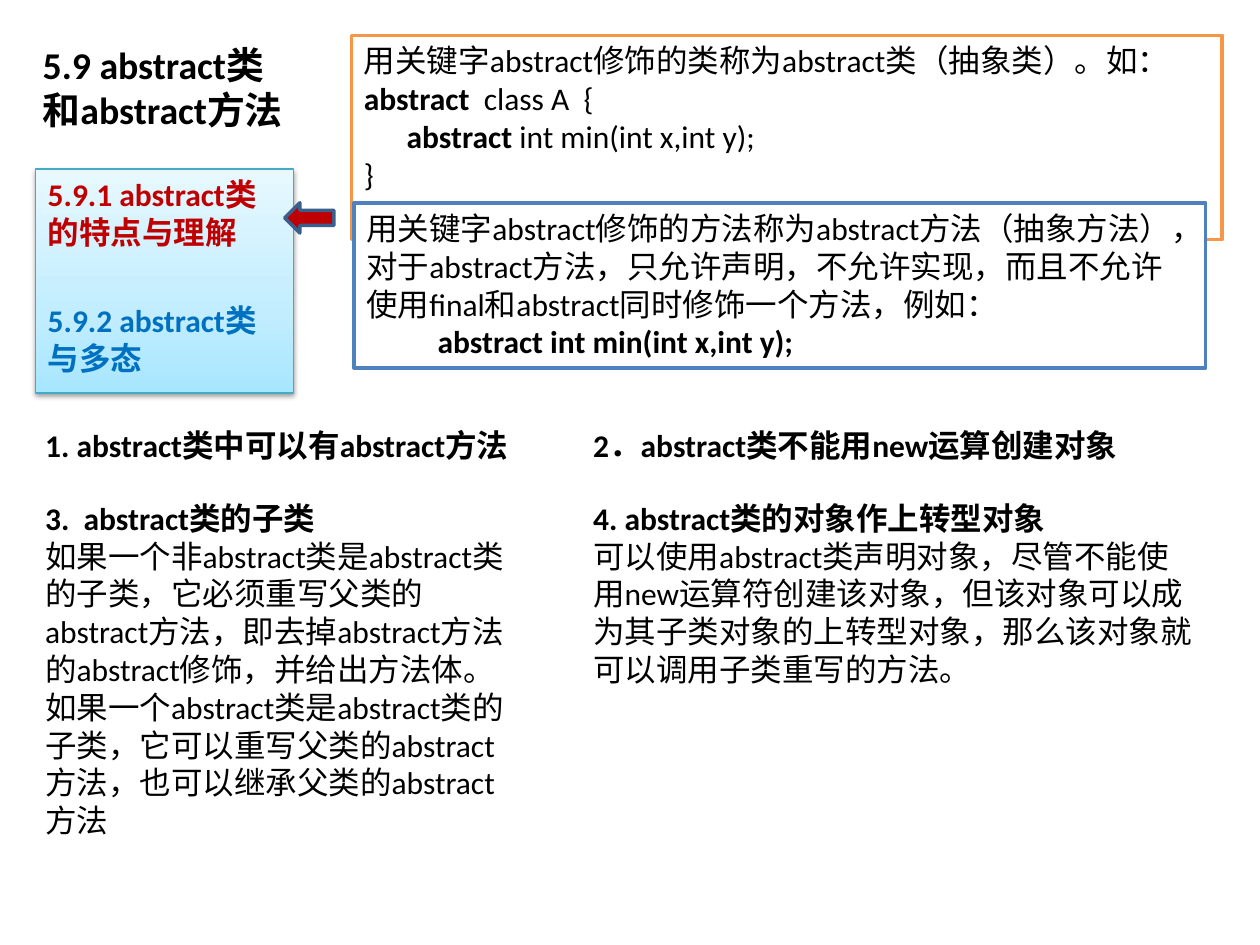
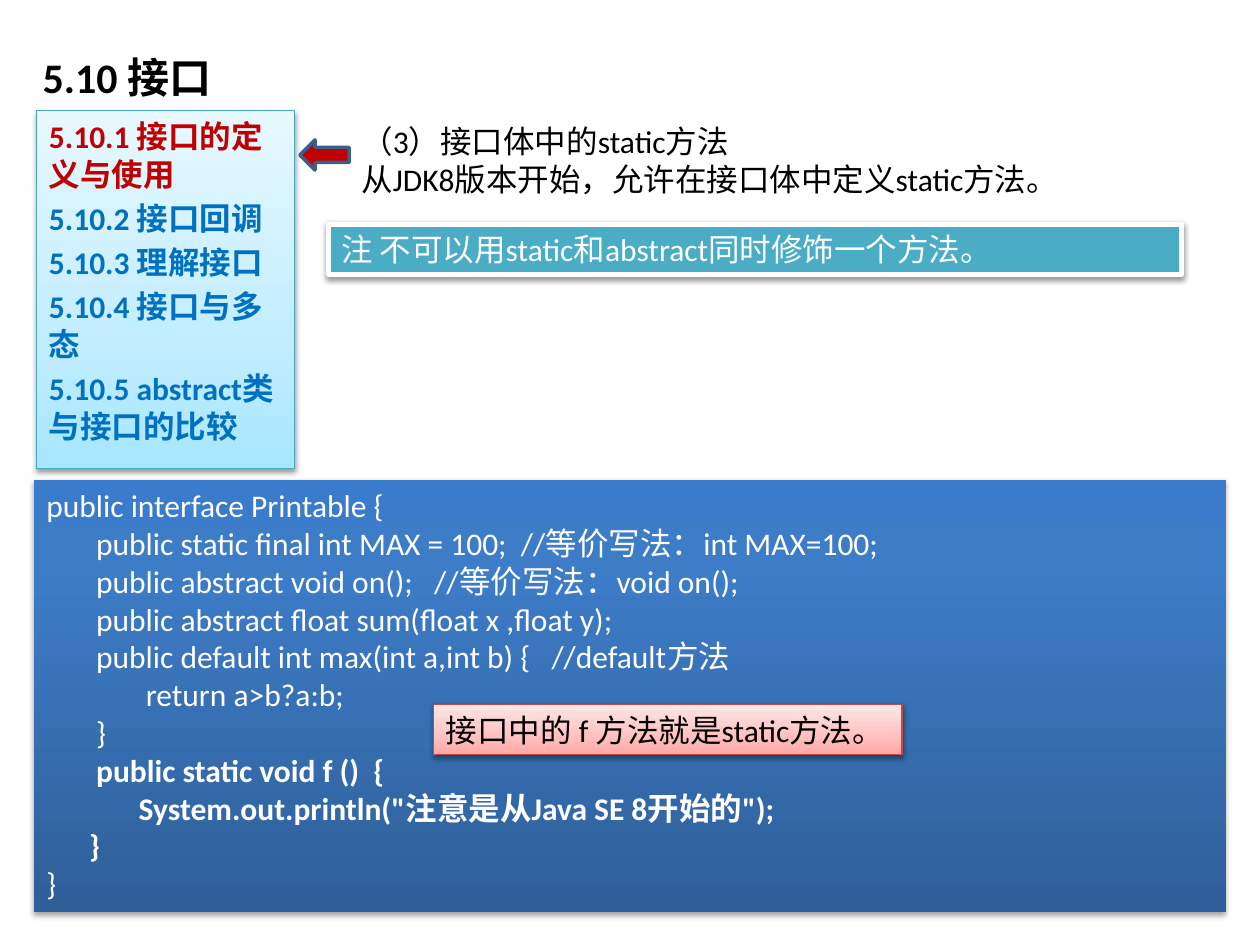
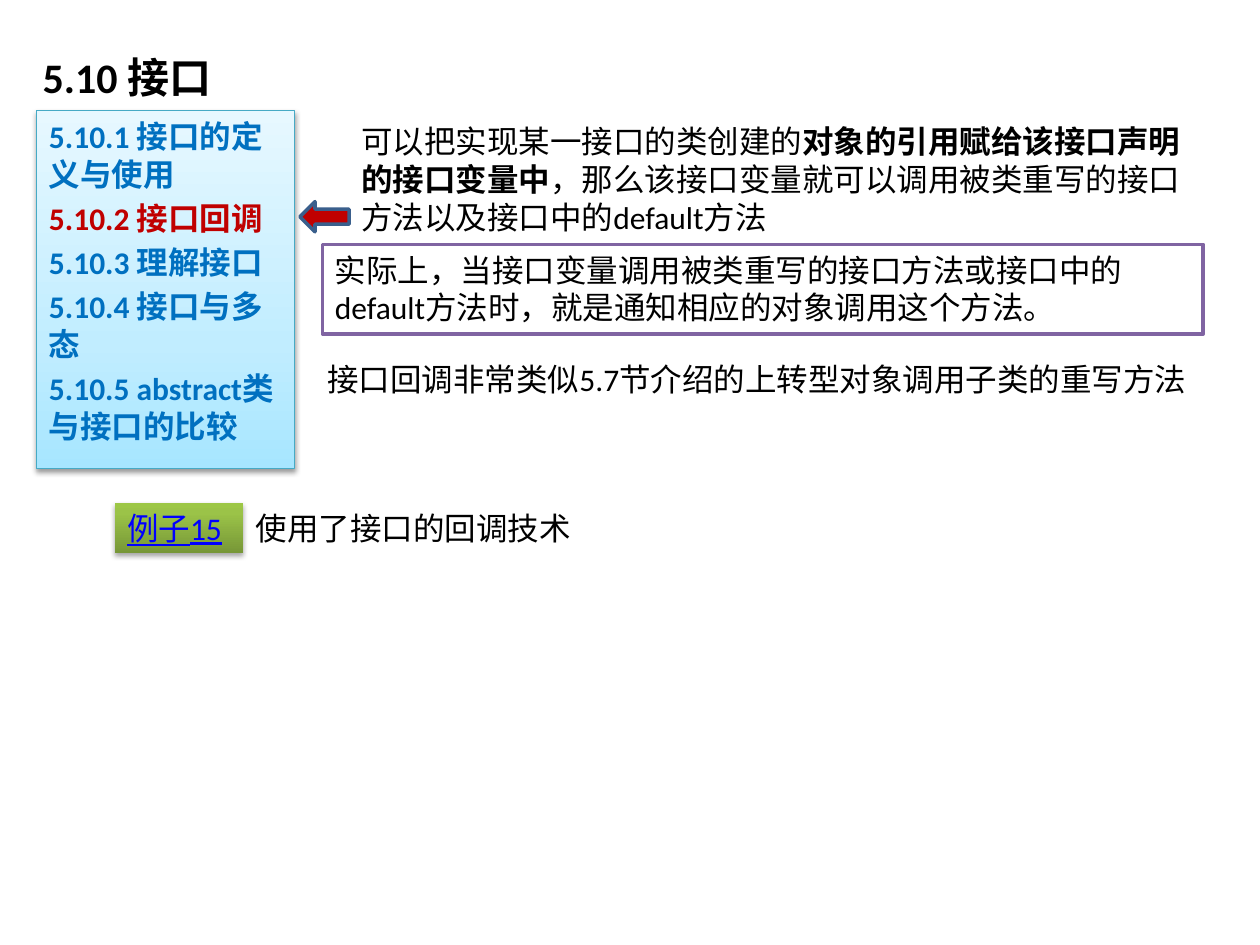
from lxml import etree
from pptx import Presentation
from pptx.dml.color import RGBColor
from pptx.enum.shapes import MSO_SHAPE as Preset
from pptx.enum.text import MSO_ANCHOR as Anchor, MSO_AUTO_SIZE as AutoSize, PP_ALIGN as Align
from pptx.oxml.ns import qn
from pptx.util import Inches, Pt

FONT = "Calibri"
BODY_SIZE = 18
BLACK = RGBColor(0x00, 0x00, 0x00)
WHITE = RGBColor(0xFF, 0xFF, 0xFF)
RED = RGBColor(0xC0, 0x00, 0x00)
BLUE = RGBColor(0x00, 0x70, 0xC0)
LINK_BLUE = RGBColor(0x00, 0x00, 0xFF)
ORANGE = RGBColor(0xF7, 0x96, 0x46)
FRAME_BLUE = RGBColor(0x4F, 0x81, 0xBD)
PURPLE = RGBColor(0x80, 0x64, 0xA2)
TEAL = RGBColor(0x4B, 0xAC, 0xC6)
TEAL_EDGE = RGBColor(0x46, 0xAA, 0xC5)
PINK_EDGE = RGBColor(0xBF, 0x4C, 0x48)
ARROW_EDGE = RGBColor(0x3A, 0x5F, 0x8C)

# Gradient stops run from the bottom edge to the top: (percent, colour)
SKY = [(0, "A7E6FF"), (35, "C1EDFF"), (100, "E7F8FF")]
PINK = [(0, "FFA6A5"), (35, "FFC0BF"), (100, "FFE7E7")]
DEEP_BLUE = [(0, "2F5F99"), (80, "3D7CC7"), (100, "3A7CCB")]
GREEN = [(0, "779737"), (80, "9BC348"), (100, "9DC746")]

# Shadows: (opacity percent, distance in points)
SOFT_SHADOW = (38, 1.6)
DEEP_SHADOW = (35, 1.8)

# Text between ** marks is bold; a newline is a line break.
ABSTRACT_TITLE = "5.9 abstract类\n和abstract方法"
ABSTRACT_SECTIONS = ["5.9.1 abstract类的特点与理解", "5.9.2 abstract类与多态"]
ABSTRACT_CLASS = [
    "用关键字abstract修饰的类称为abstract类（抽象类）。如：",
    "**abstract ** class A  {",
    "      **abstract **int min(int x,int y);",
    "}",
    "}",
]
ABSTRACT_METHOD = [
    "用关键字abstract修饰的方法称为abstract方法（抽象方法），对于abstract方法，"
    "只允许声明，不允许实现，而且不允许使用final和abstract同时修饰一个方法，例如：",
    "          **abstract int min(int x,int y);**",
]
ABSTRACT_COLUMNS = [
    (0.26, 3.92, 4, "**1. abstract类中可以有abstract方法**", [
        "**3.  abstract类的子类**",
        "如果一个非abstract类是abstract类的子类，它必须重写父类的abstract方法，"
        "即去掉abstract方法的abstract修饰，并给出方法体。如果一个abstract类是"
        "abstract类的子类，它可以重写父类的abstract方法，也可以继承父类的abstract方法",
    ]),
    (4.61, 4.42, 5, "**2．abstract类不能用new运算创建对象**", [
        "**4. abstract类的对象作上转型对象**",
        "可以使用abstract类声明对象，尽管不能使用new运算符创建该对象，"
        "但该对象可以成为其子类对象的上转型对象，那么该对象就可以调用子类重写的方法。",
    ]),
]

INTERFACE_TITLE = "5.10 接口"
INTERFACE_SECTIONS = [
    "5.10.1 接口的定义与使用",
    "5.10.2 接口回调",
    "5.10.3 理解接口",
    "5.10.4 接口与多态",
    "5.10.5 abstract类与接口的比较",
]
STATIC_INTRO = ["（3）接口体中的static方法", "从JDK8版本开始，允许在接口体中定义static方法。"]
STATIC_NOTE = ["注 不可以用static和abstract同时修饰一个方法。"]
STATIC_CALLOUT = ["接口中的 f 方法就是static方法。"]
PRINTABLE_CODE = [
    "public interface Printable {",
    "       public static final int MAX = 100;  //等价写法：int MAX=100;",
    "       public abstract void on();   //等价写法：void on();",
    "       public abstract float sum(float x ,float y);",
    "       public default int max(int a,int b) {   //default方法",
    "              return a>b?a:b;",
    "       }",
    "       **public static void f ()  {**",
    "**             System.out.println(\"注意是从Java SE 8开始的\");**",
    "**      }**",
    "}",
]
CALLBACK_INTRO = [
    "可以把实现某一接口的类创建的**对象的引用赋给该接口声明的接口变量中**，"
    "那么该接口变量就可以调用被类重写的接口方法以及接口中的default方法",
]
CALLBACK_MEANING = [
    "实际上，当接口变量调用被类重写的接口方法或接口中的default方法时，"
    "就是通知相应的对象调用这个方法。",
]
CALLBACK_COMPARISON = ["接口回调非常类似5.7节介绍的上转型对象调用子类的重写方法"]
EXAMPLE_LABEL = ["例子15"]
EXAMPLE_TEXT = ["使用了接口的回调技术"]


def add_runs(paragraph, text):
    for part, words in enumerate(text.split("**")):
        for line_number, line in enumerate(words.split("\n")):
            if line_number:
                paragraph.add_line_break()
            if line:
                run = paragraph.add_run()
                run.text = line
                run.font.bold = part % 2 == 1


def write(shape, paragraphs, color=BLACK, size=BODY_SIZE, wrap=True, grow=True):
    frame = shape.text_frame
    frame.word_wrap = wrap
    frame.auto_size = AutoSize.SHAPE_TO_FIT_TEXT if grow else AutoSize.NONE
    frame.vertical_anchor = Anchor.TOP
    for index, text in enumerate(paragraphs):
        paragraph = frame.paragraphs[0] if index == 0 else frame.add_paragraph()
        paragraph.alignment = Align.LEFT
        font = paragraph.font
        font.name, font.size, font.color.rgb = FONT, Pt(size), color
        add_runs(paragraph, text)
    return frame


def add_text(slide, box, paragraphs, **style):
    shape = slide.shapes.add_textbox(*map(Inches, box))
    return write(shape, paragraphs, **style)


def set_gradient(shape, stops):
    shape.fill.gradient()
    shape.fill.gradient_angle = 90
    stop_list = shape._element.spPr.find(".//" + qn("a:gsLst"))
    for stop in list(stop_list):
        stop_list.remove(stop)
    for percent, color in stops:
        stop = etree.SubElement(stop_list, qn("a:gs"), pos=str(percent * 1000))
        etree.SubElement(stop, qn("a:srgbClr"), val=color)


def set_shadow(shape, opacity, distance):
    effects = shape._element.spPr.find(qn("a:effectLst"))
    shadow = etree.SubElement(effects, qn("a:outerShdw"), blurRad=str(Pt(3.1)),
                              dist=str(Pt(distance)), dir="5400000", rotWithShape="0")
    color = etree.SubElement(shadow, qn("a:srgbClr"), val="000000")
    etree.SubElement(color, qn("a:alpha"), val=str(opacity * 1000))


def add_panel(slide, box, fill=WHITE, edge=None, edge_width=2, shadow=None, preset=Preset.RECTANGLE):
    shape = slide.shapes.add_shape(preset, *map(Inches, box))
    if isinstance(fill, list):
        set_gradient(shape, fill)
    else:
        shape.fill.solid()
        shape.fill.fore_color.rgb = fill
    if edge is None:
        shape.line.fill.background()
    else:
        shape.line.color.rgb = edge
        shape.line.width = Pt(edge_width)
    shape.shadow.inherit = False
    if shadow:
        set_shadow(shape, *shadow)
    return shape


def add_section_slide(presentation, title, title_top, title_size, sections, current,
                      menu_box, menu_gap, arrow_at):
    """Add a slide with its title, section menu and the arrow at the current section."""
    slide = presentation.slides.add_slide(presentation.slide_layouts[6])
    title_frame = add_text(slide, (0.24, title_top, 4.49, 0.66), [f"**{title}**"],
                           size=title_size, grow=False)
    title_frame.vertical_anchor = Anchor.BOTTOM

    menu = add_panel(slide, menu_box, SKY, TEAL_EDGE, 0.75, SOFT_SHADOW)
    frame = write(menu, [f"**{section}**" for section in sections], BLUE, grow=False)
    frame.paragraphs[current].font.color.rgb = RED
    for paragraph in frame.paragraphs[1:]:
        paragraph.space_before = Pt(menu_gap)

    add_panel(slide, (*arrow_at, 0.39, 0.24), RED, ARROW_EDGE, preset=Preset.LEFT_ARROW)
    return slide


def add_interface_slide(presentation, current, arrow_top):
    return add_section_slide(presentation, INTERFACE_TITLE, 0.2, 24, INTERFACE_SECTIONS, current,
                             (0.29, 0.88, 2.05, 2.84), 3.6, (2.38, arrow_top))


def build_abstract_slide(presentation):
    slide = add_section_slide(presentation, ABSTRACT_TITLE, 0.44, 21.6, ABSTRACT_SECTIONS, 0,
                              (0.28, 1.34, 2.05, 1.78), 28.8, (2.26, 1.61))
    write(add_panel(slide, (2.79, 0.28, 6.91, 1.62), edge=ORANGE), ABSTRACT_CLASS)
    write(add_panel(slide, (2.81, 1.61, 6.76, 1.31), edge=FRAME_BLUE), ABSTRACT_METHOD)
    for left, heading_width, body_width, heading, body in ABSTRACT_COLUMNS:
        add_text(slide, (left, 3.33, heading_width, 0.4), [heading], grow=False)
        add_text(slide, (left, 3.91, body_width, 2.83), body, grow=False)


def build_static_slide(presentation):
    slide = add_interface_slide(presentation, 0, 1.11)
    add_text(slide, (2.77, 0.92, 6.8, 0.71), STATIC_INTRO)
    note = add_panel(slide, (2.61, 1.78, 6.77, 0.4), TEAL, WHITE, 3, SOFT_SHADOW)
    write(note, STATIC_NOTE, WHITE)
    code = add_panel(slide, (0.27, 3.81, 9.46, 3.43), DEEP_BLUE, shadow=DEEP_SHADOW)
    write(code, PRINTABLE_CODE, WHITE)
    callout = add_panel(slide, (3.44, 5.59, 3.72, 0.4), PINK, PINK_EDGE, 0.75, SOFT_SHADOW)
    write(callout, STATIC_CALLOUT, wrap=False)


def build_callback_slide(presentation):
    slide = add_interface_slide(presentation, 1, 1.6)
    add_text(slide, (2.77, 0.92, 6.8, 1.01), CALLBACK_INTRO)
    write(add_panel(slide, (2.56, 1.94, 6.99, 0.71), edge=PURPLE), CALLBACK_MEANING)
    example = add_panel(slide, (0.91, 3.99, 1.02, 0.4), GREEN, shadow=DEEP_SHADOW)
    frame = write(example, EXAMPLE_LABEL, LINK_BLUE, wrap=False)
    frame.paragraphs[0].font.underline = True
    add_text(slide, (2.5, 2.81, 7.12, 0.4), CALLBACK_COMPARISON)
    add_text(slide, (1.93, 3.99, 2.73, 0.4), EXAMPLE_TEXT, wrap=False)


def main():
    presentation = Presentation()
    presentation.slide_width, presentation.slide_height = Inches(10), Inches(7.5)
    build_abstract_slide(presentation)
    build_static_slide(presentation)
    build_callback_slide(presentation)
    presentation.save("out.pptx")


if __name__ == "__main__":
    main()
